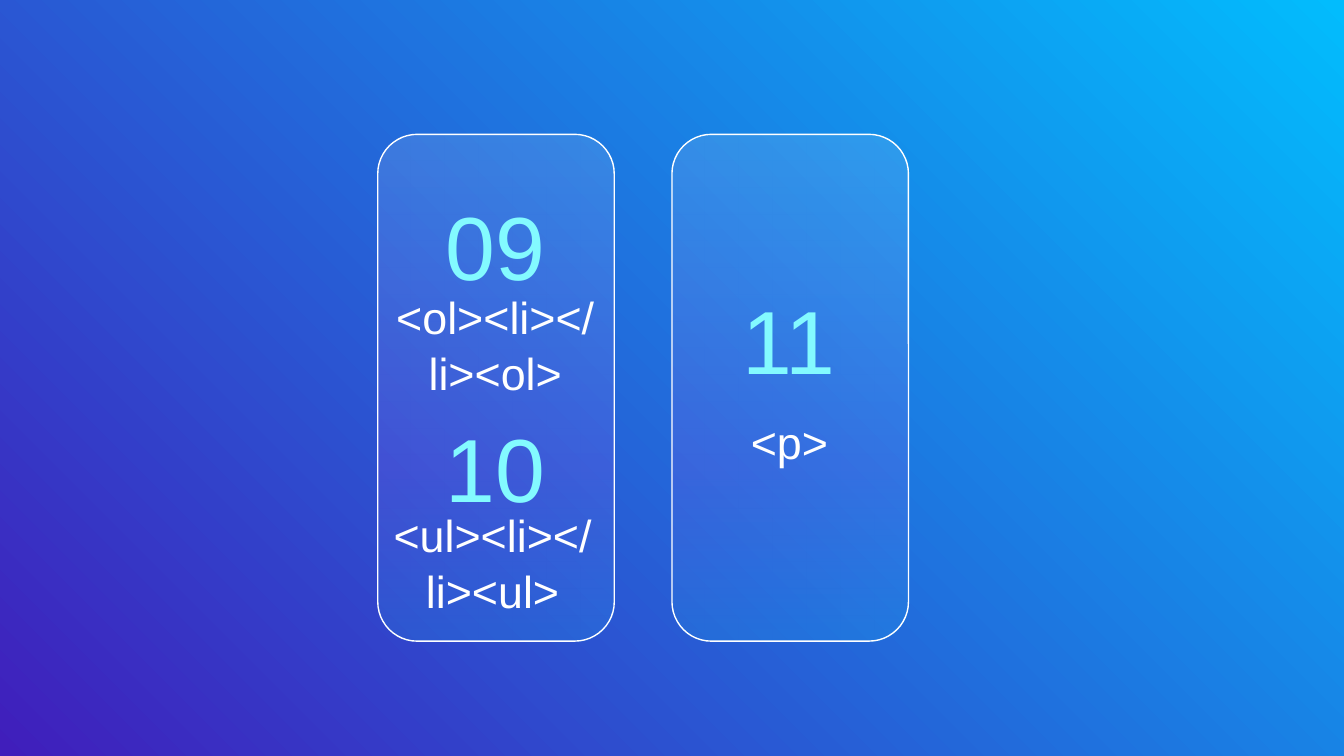
from lxml.etree import SubElement
from pptx import Presentation
from pptx.dml.color import RGBColor
from pptx.enum.shapes import MSO_SHAPE
from pptx.enum.text import MSO_ANCHOR, PP_ALIGN
from pptx.oxml.ns import qn
from pptx.util import Cm, Pt

WHITE = RGBColor(0xFF, 0xFF, 0xFF)
AQUA = RGBColor(0x83, 0xFA, 0xFF)
CYAN = RGBColor(0x10, 0xEC, 0xFF)
PINK = RGBColor(0xE3, 0x54, 0xF7)
INDIGO = RGBColor(0x40, 0x1E, 0xBB)
SKY = RGBColor(0x02, 0xBC, 0xFD)

CARD_W, CARD_H = 4.47, 9.58
CARD_TOP = 2.54
NUM_W, NUM_H = 3.94, 2.95
TAG_W, TAG_H = 4.34, 1.63


def paint(fill, root, stops, angle, alpha=100):
    """Fill with a linear gradient; the angle runs counter-clockwise."""
    fill.gradient()
    fill.gradient_angle = angle
    group = next(root.iter(qn("a:gsLst")))
    group.clear()
    for place, color in stops:
        stop = SubElement(group, qn("a:gs"), pos=str(place * 1000))
        tint = SubElement(stop, qn("a:srgbClr"), val=str(color))
        if alpha < 100:
            SubElement(tint, qn("a:alpha"), val=str(alpha * 1000))


def add_card(slide, left):
    card = slide.shapes.add_shape(
        MSO_SHAPE.ROUNDED_RECTANGLE,
        Cm(left), Cm(CARD_TOP), Cm(CARD_W), Cm(CARD_H))
    card.shadow.inherit = False
    paint(card.fill, card.element,
          [(0, WHITE), (66, PINK), (100, CYAN)], 270, alpha=11)
    card.line.color.rgb = WHITE
    card.line.width = Pt(0.75)


def add_text(slide, text, left, top, width, height,
             size=24, color=WHITE, pitch=1.0):
    box = slide.shapes.add_textbox(Cm(left), Cm(top), Cm(width), Cm(height))
    frame = box.text_frame
    frame.word_wrap = True
    frame.vertical_anchor = MSO_ANCHOR.BOTTOM
    frame.margin_left = frame.margin_right = Cm(0.25)
    frame.margin_top = frame.margin_bottom = Cm(0.25)
    para = frame.paragraphs[0]
    para.alignment = PP_ALIGN.CENTER
    para.line_spacing = pitch
    run = para.add_run()
    run.text = text
    run.font.name = "Arial"
    run.font.size = Pt(size)
    run.font.color.rgb = color


def main():
    deck = Presentation()
    deck.slide_width, deck.slide_height = Cm(25.4), Cm(14.29)
    slide = deck.slides.add_slide(deck.slide_layouts[6])

    # Background
    paint(slide.background.fill, slide.element, [(0, INDIGO), (100, SKY)], 45)

    # Cards
    for left in (7.14, 12.7):
        add_card(slide, left)

    # Numbers and tags: number, left, top, tag, left, top
    items = [
        ("09", 7.39, 2.95, "<ol><li></li><ol>", 7.19, 6.17),
        ("10", 7.39, 7.14, "<ul><li></li><ul>", 7.14, 10.29),
        ("11", 12.95, 4.72, "<p>", 12.75, 7.47),
    ]
    for num, num_x, num_y, tag, tag_x, tag_y in items:
        add_text(slide, num, num_x, num_y, NUM_W, NUM_H, size=48, color=AQUA)
        add_text(slide, tag, tag_x, tag_y, TAG_W, TAG_H, pitch=1.05)

    deck.save("out.pptx")


if __name__ == "__main__":
    main()
